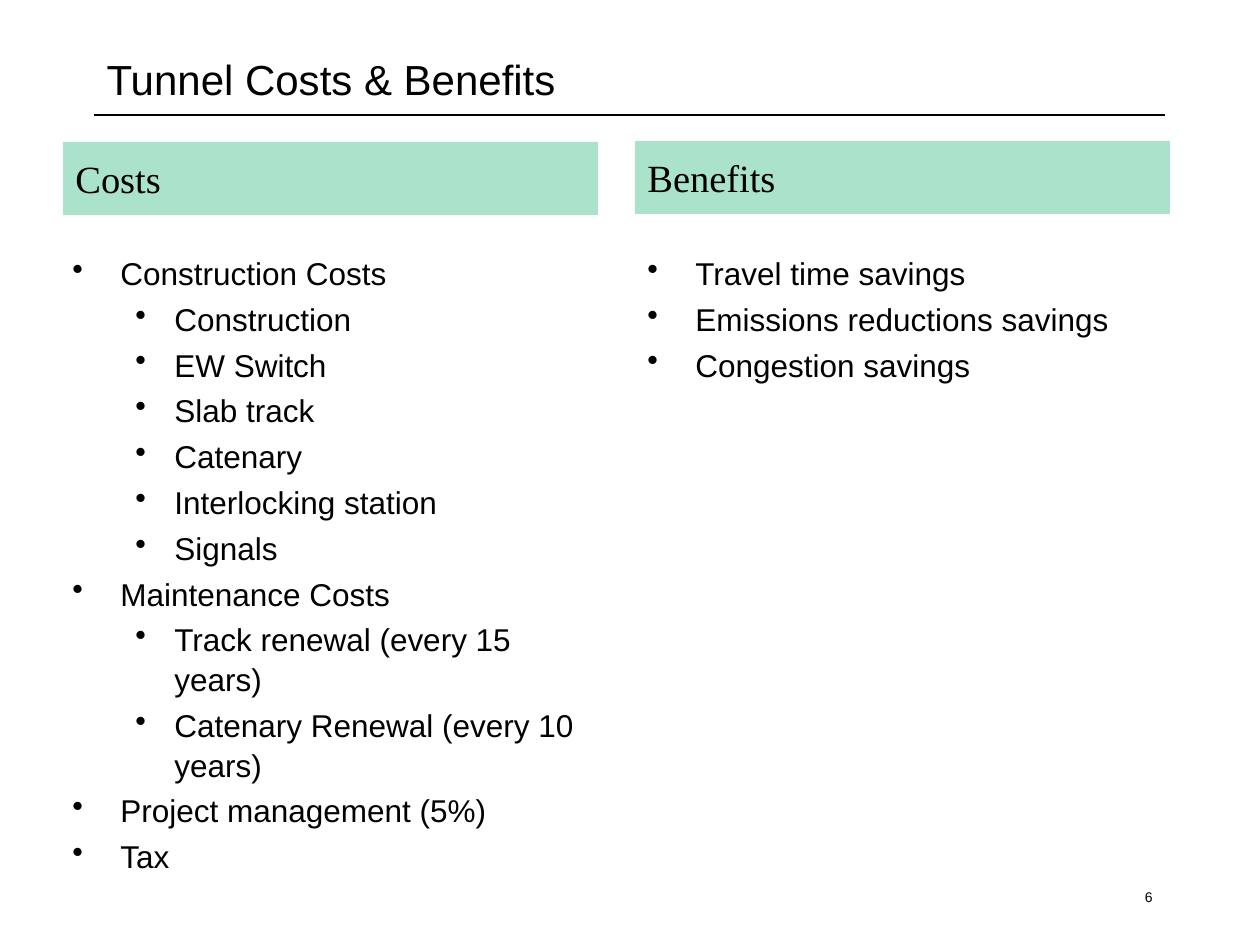
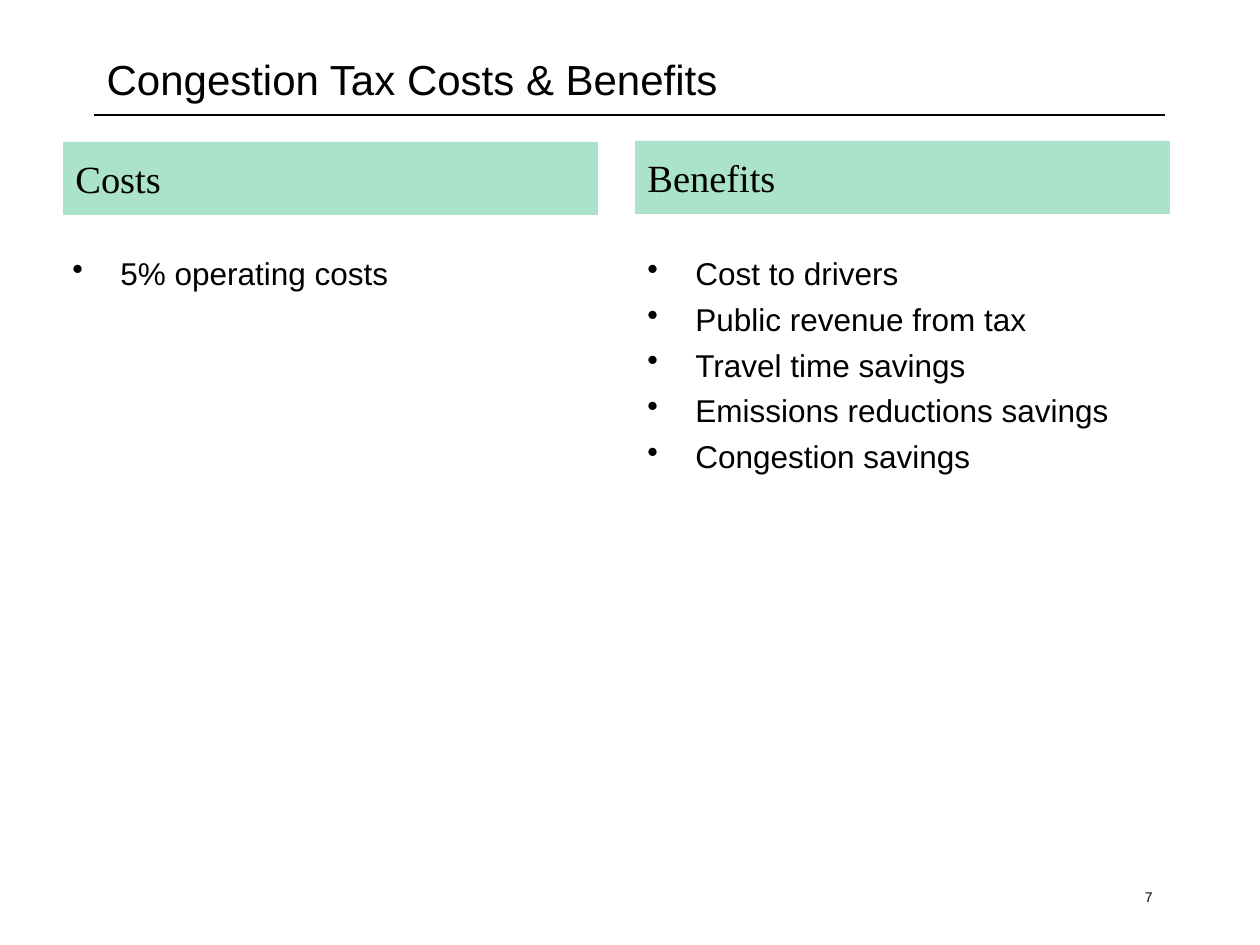
import pptx
import pptx.util
import pptx.dml.color
import pptx.enum.shapes
import pptx.enum.text
import pptx.oxml
import pptx.oxml.ns
import lxml.etree

PIXEL = 914400 // 126
BLACK = pptx.dml.color.RGBColor(0x00, 0x00, 0x00)
MINT = pptx.dml.color.RGBColor(0xAA, 0xE2, 0xCA)
MIDDLE = pptx.enum.text.MSO_ANCHOR.MIDDLE
LEFT = pptx.enum.text.PP_ALIGN.LEFT
RIGHT = pptx.enum.text.PP_ALIGN.RIGHT

# Hanging indents of the bullet levels: text offset, bullet offset
INDENTS = [(48, -48), (102, -39)]

# Heading, heading left, heading top, list left, list height
COLUMNS = [
    ("Costs", 63, 142, 60, 711),
    ("Benefits", 635, 141, 635, 636),
]

# Title, page number, then one list of (level, wording) for each column
PAGES = [
    ("Tunnel Costs & Benefits", "6", [
        [(0, "Construction Costs"),
         (1, "Construction"),
         (1, "EW Switch"),
         (1, "Slab track"),
         (1, "Catenary"),
         (1, "Interlocking station"),
         (1, "Signals"),
         (0, "Maintenance Costs"),
         (1, "Track renewal (every 15 years)"),
         (1, "Catenary Renewal (every 10 years)"),
         (0, "Project management (5%)"),
         (0, "Tax")],
        [(0, "Travel time savings"),
         (0, "Emissions reductions savings"),
         (0, "Congestion savings")],
    ]),
    ("Congestion Tax Costs & Benefits", "7", [
        [(0, "5% operating costs")],
        [(0, "Cost to drivers"),
         (0, "Public revenue from tax"),
         (0, "Travel time savings"),
         (0, "Emissions reductions savings"),
         (0, "Congestion savings")],
    ]),
]


def px(*lengths):
    return [pptx.util.Emu(length * PIXEL) for length in lengths]


def write(paragraph, wording, size, font="Arial", align=LEFT):
    paragraph.text = wording
    paragraph.alignment = align
    paragraph.font.size = pptx.util.Pt(size)
    paragraph.font.name = font
    paragraph.font.color.rgb = BLACK


deck = pptx.Presentation()
deck.slide_width, deck.slide_height = pptx.util.Inches(10), pptx.util.Inches(7.5)
title_only = deck.slide_layouts[5]

for title_text, page_number, lists in PAGES:
    slide = deck.slides.add_slide(title_only)
    shapes = slide.shapes

    # Title and the rule below it
    title = shapes.title
    title.left, title.top, title.width, title.height = px(94, 42, 1071, 73)
    title.text_frame.vertical_anchor = MIDDLE
    write(title.text_frame.paragraphs[0], title_text, 24)

    rule = shapes.add_connector(
        pptx.enum.shapes.MSO_CONNECTOR.STRAIGHT, *px(94, 115, 1165, 115))
    rule.line.color.rgb = BLACK
    rule.line.width = pptx.util.Pt(0.75)
    lxml.etree.SubElement(rule._element.spPr, pptx.oxml.ns.qn("a:effectLst"))

    for column, items in zip(COLUMNS, lists):
        heading, band_left, band_top, list_left, list_height = column

        # Bulleted list
        body = shapes.add_textbox(*px(list_left, 246, 557, list_height)).text_frame
        body.word_wrap = True
        for index, (level, wording) in enumerate(items):
            paragraph = body.add_paragraph() if index else body.paragraphs[0]
            write(paragraph, wording, 18)
            paragraph.level = level
            paragraph.line_spacing = 1.05
            paragraph.space_before = pptx.util.Pt(3.5)
            properties = paragraph._p.get_or_add_pPr()
            margin, indent = px(*INDENTS[level])
            properties.set("marL", str(margin))
            properties.set("indent", str(indent))
            bullet = pptx.oxml.parse_xml(
                '<a:buChar %s char="\u2022"/>' % pptx.oxml.ns.nsdecls("a"))
            properties.insert_element_before(
                bullet, "a:tabLst", "a:defRPr", "a:extLst")

        # Heading band
        band = shapes.add_shape(
            pptx.enum.shapes.MSO_SHAPE.RECTANGLE, *px(band_left, band_top, 535, 73))
        band.shadow.inherit = False
        band.fill.solid()
        band.fill.fore_color.rgb = MINT
        band.line.fill.background()
        band.text_frame.vertical_anchor = MIDDLE
        write(band.text_frame.paragraphs[0], heading, 22, "Times New Roman")

    # Page number
    footer = shapes.add_textbox(*px(903, 882, 262, 42)).text_frame
    footer.word_wrap = True
    write(footer.paragraphs[0], page_number, 8, align=RIGHT)

deck.save("out.pptx")
